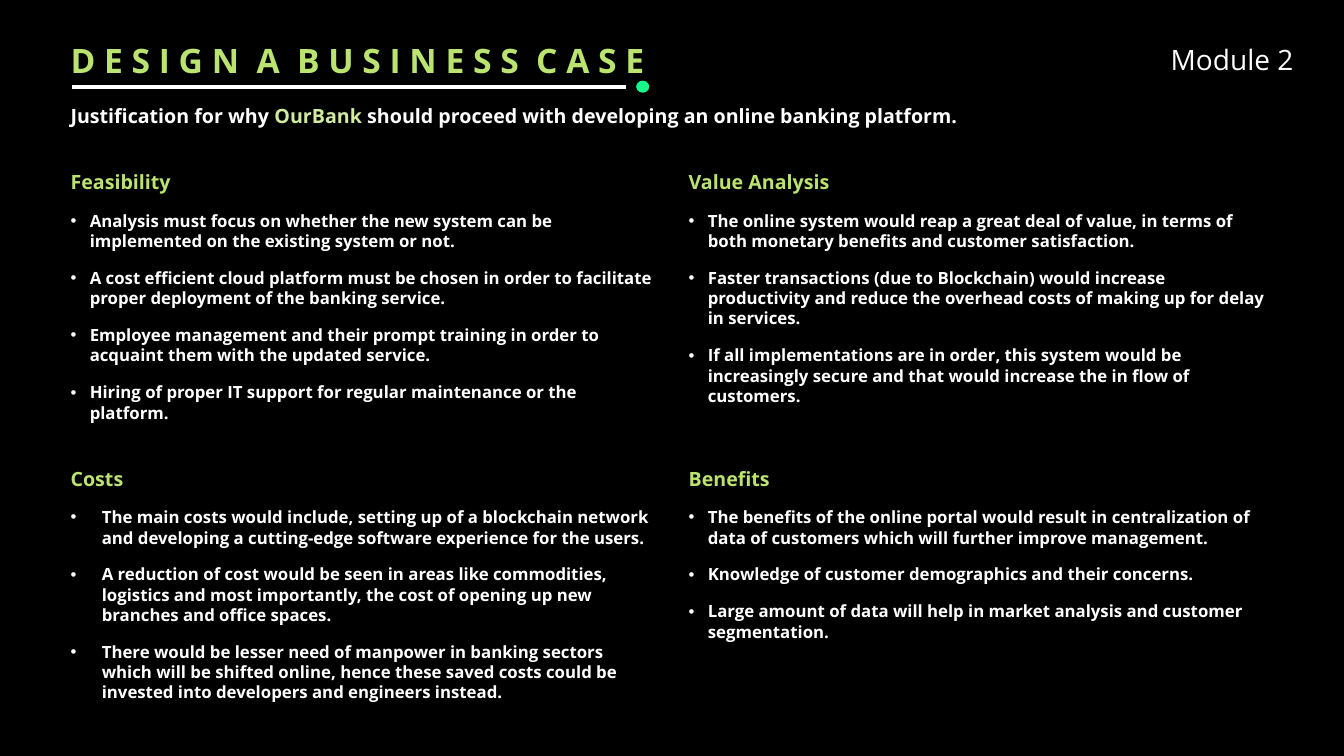
import pptx
import pptx.util
import pptx.dml.color
import pptx.enum.shapes
import pptx.enum.text
import pptx.oxml.ns
import lxml.etree

COLORS = {"bg": "000000", "lime": "BAE370", "pale": "D1ECA0", "white": "FFFFFF", "dot": "18F689"}
FONT = "Open Sans"

TITLE = "D E S I G N  A  B U S I N E S S  C A S E"
MODULE = "Module 2"
SUBTITLE = [
    ("Justification for why ", "white"),
    ("OurBank", "pale"),
    (" should proceed with developing an online banking platform.", "white"),
]
SECTIONS = [
    ("Feasibility", 0.19, [
        "Analysis must focus on whether the new system can be implemented on the existing system or not.",
        "A cost efficient cloud platform must be chosen in order to facilitate proper deployment of the banking service.",
        "Employee management and their prompt training in order to acquaint them with the updated service.",
        "Hiring of proper IT support for regular maintenance or the platform.",
    ]),
    ("Value Analysis", 0.19, [
        "The online system would reap a great deal of value, in terms of both monetary benefits and customer satisfaction.",
        "Faster transactions (due to Blockchain) would increase productivity and reduce the overhead costs of making up for delay in services.",
        "If all implementations are in order, this system would be increasingly secure and that would increase the in flow of customers.",
    ]),
    ("Costs", 0.31, [
        "The main costs would include, setting up of a blockchain network and developing a cutting-edge software experience for the users.",
        "A reduction of cost would be seen in areas like commodities, logistics and most importantly, the cost of opening up new branches and office spaces.",
        "There would be lesser need of manpower in banking sectors which will be shifted online, hence these saved costs could be invested into developers and engineers instead.",
    ]),
    ("Benefits", 0.19, [
        "The benefits of the online portal would result in centralization of data of customers which will further improve management.",
        "Knowledge of customer demographics and their concerns.",
        "Large amount of data will help in market analysis and customer segmentation.",
    ]),
]
LEFT, TOP = 0.7, 1.69
COL_STEP, ROW_STEP = 6.13, 2.94
BLOCK_W, BLOCK_H = 5.79, 2.72

Inches = pptx.util.Inches
Pt = pptx.util.Pt


def rgb(name):
    return pptx.dml.color.RGBColor.from_string(COLORS[name])


def add_box(s, left, top, width, height):
    tf = s.shapes.add_textbox(Inches(left), Inches(top), Inches(width), Inches(height)).text_frame
    tf.word_wrap = True
    tf.margin_left = tf.margin_right = tf.margin_top = tf.margin_bottom = 0
    return tf


def add_run(p, text, size=12, color="white", bold=True):
    r = p.add_run()
    r.text = text
    r.font.name = FONT
    r.font.size = Pt(size)
    r.font.bold = bold
    r.font.color.rgb = rgb(color)


def set_spacing(p, gap=0, line=1.0):
    p.line_spacing = line
    p.space_before = p.space_after = Pt(gap)


def add_bullet(p, indent):
    pPr = p._p.get_or_add_pPr()
    pPr.set("marL", str(Inches(indent)))
    pPr.set("indent", str(-Inches(indent)))
    qn = pptx.oxml.ns.qn
    lxml.etree.SubElement(pPr, qn("a:buFont")).set("typeface", "Arial")
    lxml.etree.SubElement(pPr, qn("a:buChar")).set("char", "•")


def add_section(s, index, heading, indent, bullets):
    row, col = divmod(index, 2)
    tf = add_box(s, LEFT + col * COL_STEP, TOP + row * ROW_STEP, BLOCK_W, BLOCK_H)
    p = tf.paragraphs[0]
    set_spacing(p, 6)
    add_run(p, heading, size=14, color="lime")
    for text in bullets:
        p = tf.add_paragraph()
        set_spacing(p, 6)
        add_bullet(p, indent)
        add_run(p, text)


def add_header(s):
    p = add_box(s, LEFT, 0.4, 7.79, 0.41).paragraphs[0]
    set_spacing(p)
    add_run(p, TITLE, size=24, color="lime")

    tf = add_box(s, 9.13, 0.42, 3.7, 0.37)
    tf.vertical_anchor = pptx.enum.text.MSO_ANCHOR.MIDDLE
    p = tf.paragraphs[0]
    p.alignment = pptx.enum.text.PP_ALIGN.RIGHT
    set_spacing(p, line=0.9)
    add_run(p, MODULE, size=20, bold=False)

    p = add_box(s, LEFT, 1.03, 12.13, 0.44).paragraphs[0]
    set_spacing(p)
    for text, color in SUBTITLE:
        add_run(p, text, size=14, color=color)

    rule = s.shapes.add_connector(
        pptx.enum.shapes.MSO_CONNECTOR.STRAIGHT,
        Inches(0.71), Inches(0.86), Inches(6.21), Inches(0.86))
    rule.line.color.rgb = rgb("white")
    rule.line.width = Pt(3)
    lxml.etree.SubElement(rule._element.spPr, pptx.oxml.ns.qn("a:effectLst"))

    dot = s.shapes.add_shape(
        pptx.enum.shapes.MSO_SHAPE.OVAL,
        Inches(6.31), Inches(0.8), Inches(0.13), Inches(0.12))
    dot.shadow.inherit = False
    dot.fill.solid()
    dot.fill.fore_color.rgb = rgb("dot")
    dot.line.fill.background()


def main():
    prs = pptx.Presentation()
    prs.slide_width, prs.slide_height = Inches(13.33), Inches(7.5)
    s = prs.slides.add_slide(prs.slide_layouts[6])
    s.background.fill.solid()
    s.background.fill.fore_color.rgb = rgb("bg")
    add_header(s)
    for index, section in enumerate(SECTIONS):
        add_section(s, index, *section)
    prs.save("out.pptx")


if __name__ == "__main__":
    main()
